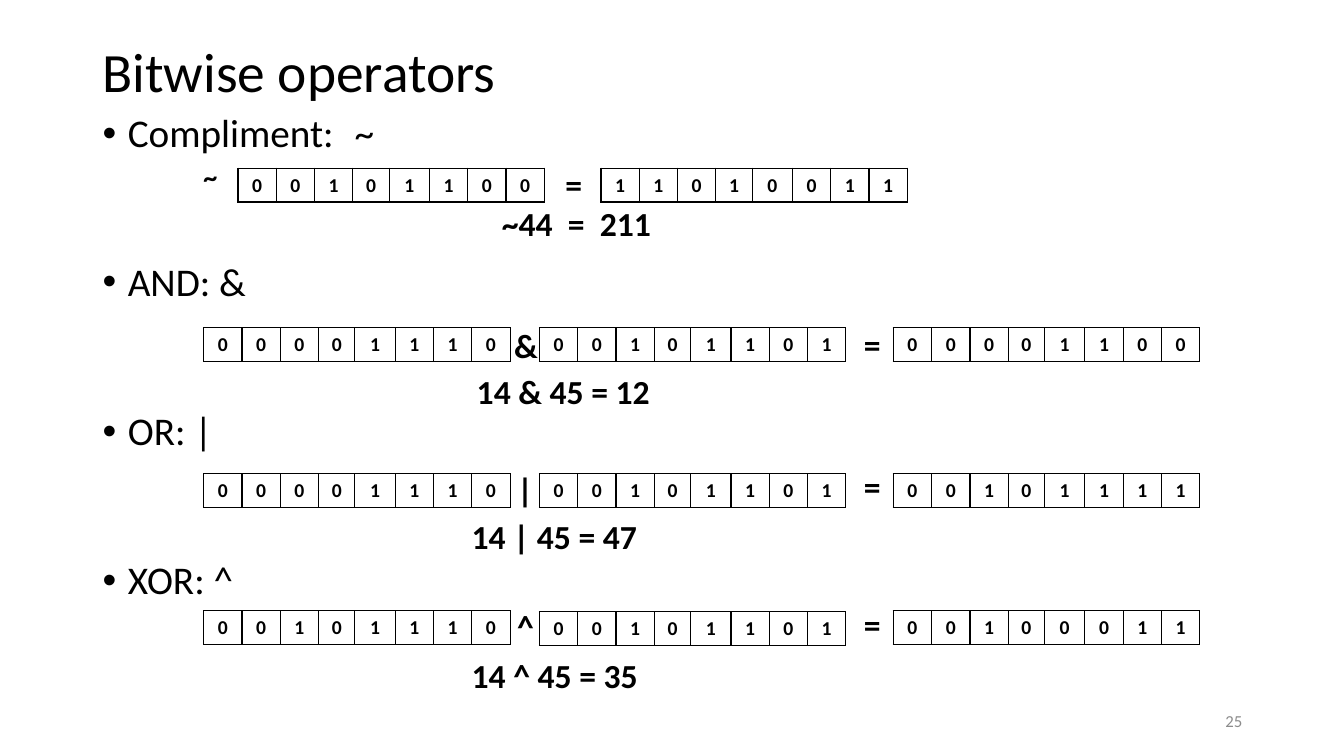
import pptx
import pptx.dml.color
import pptx.enum.text
import pptx.oxml
import pptx.oxml.ns
import pptx.util

Inches = pptx.util.Inches
Pt = pptx.util.Pt
ALIGN = pptx.enum.text.PP_ALIGN
ANCHOR = pptx.enum.text.MSO_ANCHOR
FIT = pptx.enum.text.MSO_AUTO_SIZE
INK = "000000"
WIDTHS = (0.38, 0.38, 0.38, 0.36, 0.4, 0.38, 0.38, 0.38)
HEIGHT = 0.33

BODY = (
    ("Compliment: \t~", True, 0),
    ("~", False, 5),
    ("AND: &", True, 49.4),
    ("OR: |", True, 76.3),
    ("XOR: ^", True, 76.3),
)
BYTES = (
    (2.36, 1.67, "00101100"),
    (5.96, 1.67, "11010011"),
    (2.02, 3.25, "00001110"),
    (5.35, 3.25, "00101101"),
    (8.86, 3.25, "00001100"),
    (2.02, 4.7, "00001110"),
    (5.35, 4.7, "00101101"),
    (8.86, 4.7, "00101111"),
    (2.02, 6.06, "00101110"),
    (5.35, 6.07, "00101101"),
    (8.86, 6.06, "00100011"),
)
SIGNS = (
    (5.51, 1.58, "="),
    (5, 3.17, "&"),
    (8.47, 3.16, "="),
    (5.03, 4.6, "|"),
    (8.47, 4.57, "="),
    (5.03, 5.96, "^"),
    (8.47, 5.94, "="),
)
SUMS = (
    (4.88, 1.96, "~44  =  211"),
    (4.63, 3.63, "14 & 45 = 12"),
    (4.58, 5.07, "14 | 45 = 47"),
    (4.58, 6.45, "14 ^ 45 = 35"),
)


def color(code):
    """Turn a hex string into a colour."""
    return pptx.dml.color.RGBColor.from_string(code)


def style(para, size, bold=False, code=INK):
    """Format every run of a paragraph."""
    for run in para.runs:
        run.font.name = "Calibri"
        run.font.size = Pt(size)
        run.font.bold = bold
        run.font.color.rgb = color(code)


def frame(slide, left, top, width, height):
    """Add a wrapping text box and return its text frame."""
    box = slide.shapes.add_textbox(
        Inches(left), Inches(top), Inches(width), Inches(height))
    box.text_frame.word_wrap = True
    return box.text_frame


def title(slide, text):
    """Add the slide title."""
    area = frame(slide, 0.92, 0.4, 11.5, 0.68)
    area.vertical_anchor = ANCHOR.MIDDLE
    area.text = text
    area.paragraphs[0].line_spacing = 0.9
    style(area.paragraphs[0], 39.6)


def indent(para, left, hang, mark=None):
    """Set the indents of a paragraph and its bullet."""
    props = para._p.get_or_add_pPr()
    props.set("marL", str(Inches(left)))
    props.set("indent", str(-Inches(hang)))
    if mark:
        space = pptx.oxml.ns.nsdecls("a")
        props.append(pptx.oxml.parse_xml(f'<a:buFont {space} typeface="Arial"/>'))
        props.append(pptx.oxml.parse_xml(f'<a:buChar {space} char="{mark}"/>'))


def body(slide):
    """Add the list of operators."""
    area = frame(slide, 0.92, 1.08, 11.13, 5.84)
    area.text = "\n".join(text for text, _, _ in BODY)
    for para, (_, main_level, gap) in zip(area.paragraphs, BODY):
        para.line_spacing = 0.9
        para.space_before = Pt(gap)
        if main_level:
            indent(para, 0.25, 0.25, "•")
            style(para, 28)
        else:
            indent(para, 1, 0)
            style(para, 20, True)


def border(cell):
    """Draw a thin line on each side of a cell."""
    props = cell._tc.get_or_add_tcPr()
    for side in "LRTB":
        props.append(pptx.oxml.parse_xml(
            f'<a:ln{side} {pptx.oxml.ns.nsdecls("a")} w="{Pt(1)}"><a:solidFill>'
            f'<a:srgbClr val="{INK}"/></a:solidFill></a:ln{side}>'))


def byte(slide, left, top, bits):
    """Add a row of eight bits as a table."""
    table = slide.shapes.add_table(
        1, len(bits), Inches(left), Inches(top),
        Inches(sum(WIDTHS)), Inches(HEIGHT)).table
    table.first_row = False
    table.horz_banding = False
    for col, width, cell, bit in zip(
            table.columns, WIDTHS, table.iter_cells(), bits):
        col.width = Inches(width)
        border(cell)
        cell.fill.background()
        cell.text_frame.text = bit
        para = cell.text_frame.paragraphs[0]
        para.alignment = ALIGN.CENTER
        style(para, 14, True)


def label(slide, left, top, width, text):
    """Add a bold sign or sum."""
    area = frame(slide, left, top, width, 0.5)
    area.auto_size = FIT.SHAPE_TO_FIT_TEXT
    area.text = text
    style(area.paragraphs[0], 24, True)


def number(slide, text):
    """Add the slide number."""
    area = frame(slide, 9.42, 6.95, 3, 0.4)
    area.vertical_anchor = ANCHOR.MIDDLE
    area.text = text
    area.paragraphs[0].alignment = ALIGN.RIGHT
    style(area.paragraphs[0], 12, code="8C8C8C")


def main():
    """Build the slide and save it."""
    deck = pptx.Presentation()
    deck.slide_width = Inches(13.33)
    deck.slide_height = Inches(7.5)
    slide = deck.slides.add_slide(deck.slide_layouts[6])
    title(slide, "Bitwise operators")
    body(slide)
    number(slide, "25")
    for left, top, bits in BYTES:
        byte(slide, left, top, bits)
    for left, top, text in SIGNS:
        label(slide, left, top, 0.35, text)
    for left, top, text in SUMS:
        label(slide, left, top, 2.21, text)
    deck.save("out.pptx")


if __name__ == "__main__":
    main()
